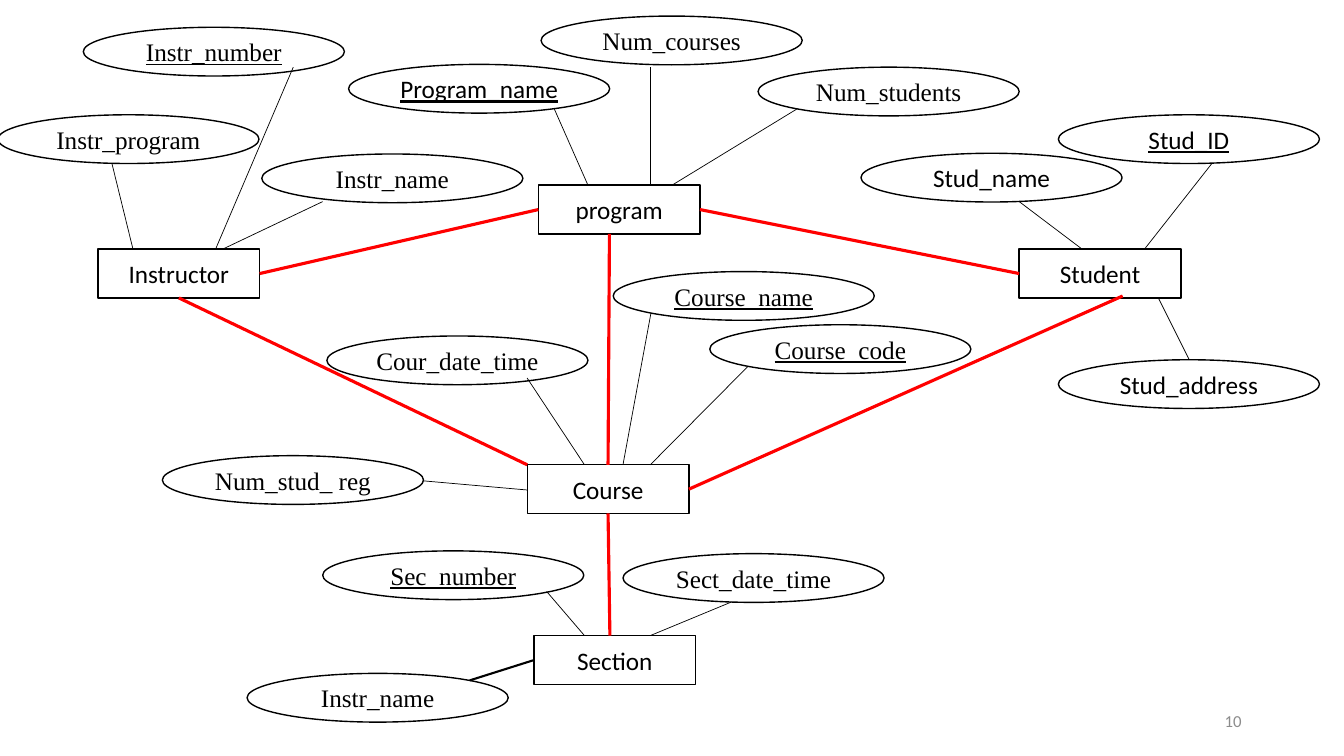
from lxml import etree
from pptx import Presentation
from pptx.dml.color import RGBColor
from pptx.enum import shapes, text
from pptx.oxml import ns
from pptx.util import Pt

SANS, SERIF = "Calibri", "Times New Roman"
BLACK, WHITE, RED, GREY = "000000", "FFFFFF", "FF0000", "8C8C8C"
ENTITY_SIZE = (115.5, 34.8)
ATTRIBUTE_SIZE = (186.5, 34.8)
PAGE_NUMBER = "10"

# entity: left, top
ENTITIES = {
    "Instructor": (70, 178),
    "Course": (376.6, 332),
    "program": (384.5, 132.3),
    "Student": (728, 178),
    "Section": (381.4, 454),
}

# name, left, top, font, is key, link start, link end, link width
ATTRIBUTES = [
    ("Num_courses", 386.5, 11.5, SERIF, False, (464.5, 48), (464.5, 132.3), 0.5),
    ("Program_name", 249, 46, SANS, True, (396, 78), (420, 132.3), 0.5),
    ("Num_students", 541.5, 48, SERIF, False, (569, 78), (480, 132.3), 0.5),
    ("Instr_number", 59.5, 19.5, SERIF, True, (209.5, 48), (154, 178), 0.5),
    ("Instr_program", -1.5, 82, SERIF, False, (80, 117), (95, 178), 0.5),
    ("Instr_name", 187, 110, SERIF, False, (230.5, 144), (159, 178), 0.5),
    ("Stud_ID", 756, 82, SANS, True, (865.5, 117), (817.5, 178), 0.5),
    ("Stud_name", 615, 109.5, SANS, False, (728, 144), (773, 178), 0.5),
    ("Stud_address", 756, 257, SANS, False, (849.5, 257), (827.5, 213), 0.5),
    ("Cour_date_time", 233.5, 240, SERIF, False, (376.5, 270), (417.5, 332), 0.5),
    ("Course_name", 438, 194, SERIF, True, (465, 223.5), (445, 332), 0.5),
    ("Course_code", 507, 232, SERIF, True, (534.5, 261.5), (464.5, 332), 0.5),
    ("Num_stud_ reg", 116, 325.5, SERIF, False, (302.5, 343.5), (376.6, 350), 0.5),
    ("Instr_name", 176.5, 481, SERIF, False, (335.5, 486), (381.4, 471.5), 1.5),
    ("Sect_date_time", 445, 395.5, SERIF, False, (522.5, 430), (464.5, 454), 0.5),
    ("Sec_number", 230.5, 393.5, SERIF, True, (390.5, 422.5), (417.5, 454), 0.5),
]

# each end: entity, share of its width, share of its height
RELATIONS = [
    (("program", 1, 0.5), ("Student", 0, 0.5)),
    (("program", 0, 0.5), ("Instructor", 1, 0.5)),
    (("program", 0.44, 1), ("Course", 0.5, 0)),
    (("Course", 0.5, 1), ("Section", 0.47, 0)),
    (("Student", 0.64, 0.96), ("Course", 1, 0.5)),
    (("Instructor", 0.5, 1), ("Course", 0, 0)),
]
SITES = {(0.5, 0): 0, (0, 0.5): 1, (0.5, 1): 2, (1, 0.5): 3}


def color(value):
    """Turn a hex string into a colour."""
    return RGBColor.from_string(value)


def write(shape, words, font, size, tint, align, underline=False):
    """Put one formatted line of text in a shape."""
    frame = shape.text_frame
    frame.text = words
    frame.word_wrap = False
    frame.vertical_anchor = text.MSO_ANCHOR.MIDDLE
    line = frame.paragraphs[0]
    line.alignment = align
    style = line.runs[0].font
    style.name, style.size, style.underline = font, Pt(size), underline
    style.color.rgb = color(tint)


def add_node(slide, kind, words, place, size, font, underline=False):
    """Draw a labelled white shape with a black outline."""
    node = slide.shapes.add_shape(kind, *map(Pt, place + size))
    node.shadow.inherit = False
    node.fill.solid()
    node.fill.fore_color.rgb = color(WHITE)
    node.line.color.rgb = color(BLACK)
    node.line.width = Pt(1)
    write(node, words, font, 18, BLACK, text.PP_ALIGN.CENTER, underline)
    return node


def add_link(slide, start, end, tint, width):
    """Draw a straight line without a shadow."""
    link = slide.shapes.add_connector(
        shapes.MSO_CONNECTOR.STRAIGHT, *map(Pt, start + end))
    link.line.color.rgb = color(tint)
    link.line.width = Pt(width)
    etree.SubElement(link._element.spPr, ns.qn("a:effectLst"))
    return link


def anchor(entity, across, down):
    """Find the point at the given shares of an entity's box."""
    left, top = ENTITIES[entity]
    return left + across * ENTITY_SIZE[0], top + down * ENTITY_SIZE[1]


deck = Presentation()
deck.slide_width, deck.slide_height = Pt(960), Pt(540)
diagram = deck.slides.add_slide(deck.slide_layouts[6])

page = diagram.shapes.add_textbox(Pt(678), Pt(500.5), Pt(216), Pt(28.8))
write(page, PAGE_NUMBER, SANS, 12, GREY, text.PP_ALIGN.RIGHT)
page.text_frame.word_wrap = True

boxes = {}
for entity, place in ENTITIES.items():
    boxes[entity] = add_node(diagram, shapes.MSO_SHAPE.RECTANGLE, entity,
                             place, ENTITY_SIZE, SANS)

for name, left, top, font, is_key, *_ in ATTRIBUTES:
    add_node(diagram, shapes.MSO_SHAPE.OVAL, name, (left, top),
             ATTRIBUTE_SIZE, font, is_key)

for *_, start, end, width in ATTRIBUTES:
    add_link(diagram, start, end, BLACK, width)

for start, end in RELATIONS:
    relation = add_link(diagram, anchor(*start), anchor(*end), RED, 2.25)
    for attach, (entity, *share) in ((relation.begin_connect, start),
                                     (relation.end_connect, end)):
        if tuple(share) in SITES:
            attach(boxes[entity], SITES[tuple(share)])

deck.save("out.pptx")
